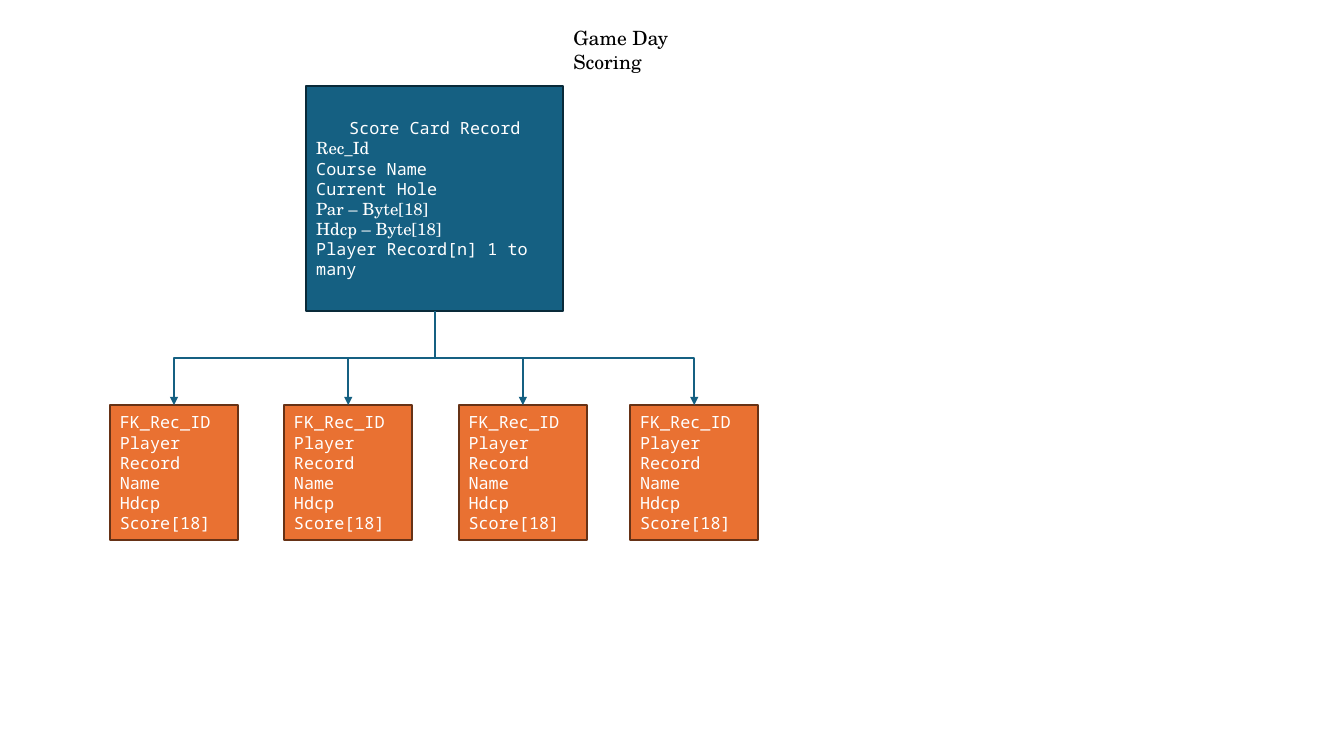
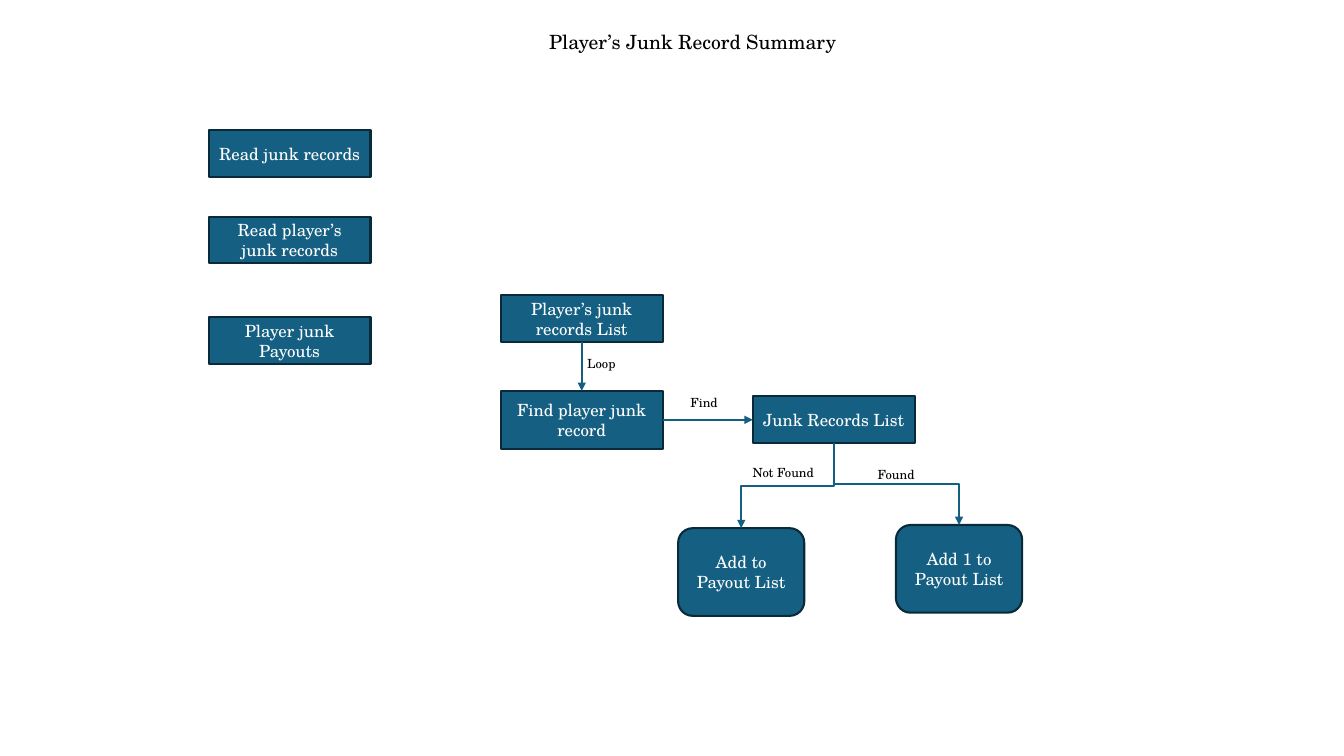
"""Build two diagrams of golf scoring: the game day records and the junk summary."""
from lxml.etree import SubElement
from pptx import Presentation
from pptx.dml.color import RGBColor
from pptx.enum.shapes import MSO_CONNECTOR as Link, MSO_SHAPE as Shape
from pptx.enum.text import MSO_ANCHOR as Anchor, MSO_AUTO_SIZE as AutoSize, PP_ALIGN as Align
from pptx.oxml.ns import qn
from pptx.util import Cm, Pt

BLACK = RGBColor(0x00, 0x00, 0x00)
WHITE = RGBColor(0xFF, 0xFF, 0xFF)
BLUE = RGBColor(0x15, 0x60, 0x82)
NAVY = RGBColor(0x09, 0x2A, 0x39)
ORANGE = RGBColor(0xE9, 0x71, 0x32)
BROWN = RGBColor(0x66, 0x32, 0x16)
SERIF = "TeX Gyre Schola"
MONO = "Noto Sans Mono"
LINE_WIDTH = Pt(1.5)
TOP, LEFT, BOTTOM, RIGHT = range(4)


def add_box(page, area, lines, size=12, kind=None, fill=BLUE, edge=NAVY, wrap=True):
    """Add a shape, or a text box if kind is None, from (text, font, align) lines."""
    place = [Cm(length) for length in area]
    if kind is None:
        box = page.shapes.add_textbox(*place)
        box.text_frame.auto_size = AutoSize.SHAPE_TO_FIT_TEXT
    else:
        box = page.shapes.add_shape(kind, *place)
        box.shadow.inherit = False
        box.fill.solid()
        box.fill.fore_color.rgb = fill
        box.line.color.rgb = edge
        box.line.width = LINE_WIDTH
        box.text_frame.vertical_anchor = Anchor.MIDDLE
    frame = box.text_frame
    frame.word_wrap = wrap
    for index, (text, font, align) in enumerate(lines):
        para = frame.add_paragraph() if index else frame.paragraphs[0]
        para.text = text
        para.alignment = align
        para.font.name = font
        para.font.size = Pt(size)
        para.font.color.rgb = BLACK if kind is None else WHITE
    return box


def add_arrow(page, start, end, sides=(BOTTOM, TOP), bent=False):
    """Join two boxes with an arrow; a bent one runs down, across and down."""
    arrow = page.shapes.add_connector(Link.ELBOW if bent else Link.STRAIGHT, 0, 0, 0, 0)
    arrow.begin_connect(start, sides[0])
    arrow.end_connect(end, sides[1])
    arrow.line.color.rgb = BLUE
    arrow.line.width = LINE_WIDTH
    properties = arrow._element.spPr
    SubElement(properties.find(qn("a:ln")), qn("a:tailEnd"), type="triangle")
    SubElement(properties, qn("a:effectLst"))
    if bent:
        from_x, to_x = (box.left + box.width // 2 for box in (start, end))
        from_y, to_y = start.top + start.height, end.top
        across, down = abs(to_x - from_x), to_y - from_y
        arrow.left = (from_x + to_x - down) // 2
        arrow.top = (from_y + to_y - across) // 2
        arrow.width, arrow.height = down, across
        to_right = to_x > from_x
        turn = properties.find(qn("a:xfrm"))
        turn.set("rot", str((270 if to_right else 90) * 60000))
        turn.set("flipH", "1" if to_right else "0")
        turn.set("flipV", "0")


deck = Presentation()
deck.slide_width, deck.slide_height = Cm(33.87), Cm(19.05)
blank = deck.slide_layouts[6]

page = deck.slides.add_slide(blank)
add_box(page, (14.2, 0.53, 4.5, 0.86), [("Game Day Scoring", SERIF, Align.LEFT)], size=14)
score_card = add_box(page, (7.72, 2.16, 6.48, 5.69), [
    ("Score Card Record", MONO, Align.CENTER),
    ("Rec_Id", SERIF, Align.LEFT),
    ("Course Name", MONO, Align.LEFT),
    ("Current Hole", MONO, Align.LEFT),
    ("Par – Byte[18]", SERIF, Align.LEFT),
    ("Hdcp – Byte[18]", SERIF, Align.LEFT),
    ("Player Record[n] 1 to many", MONO, Align.LEFT),
], kind=Shape.RECTANGLE)
player_fields = ["FK_Rec_ID", "Player Record", "Name", "Hdcp", "Score[18]"]
player_lines = [(field, MONO, Align.LEFT) for field in player_fields]
for left in (2.77, 7.16, 11.56, 15.88):
    player = add_box(page, (left, 10.21, 3.23, 3.4), player_lines,
                     kind=Shape.RECTANGLE, fill=ORANGE, edge=BROWN)
    add_arrow(page, score_card, player, bent=True)

page = deck.slides.add_slide(blank)
add_box(page, (13.59, 0.64, 7.8, 0.86),
        [("Player’s Junk Record Summary", SERIF, Align.LEFT)], size=14, wrap=False)
steps = {}
for text, left, top, height in [
    ("Read junk records", 5.26, 3.28, 1.18),
    ("Read player’s junk records", 5.26, 5.46, 1.18),
    ("Player junk Payouts", 5.26, 8.0, 1.18),
    ("Junk Records List", 18.97, 9.99, 1.18),
    ("Find player junk record", 12.62, 9.85, 1.46),
    ("Player’s junk records List", 12.62, 7.44, 1.18),
]:
    steps[text] = add_box(page, (left, top, 4.08, height),
                          [(text, SERIF, Align.CENTER)], kind=Shape.RECTANGLE)
find_step, junk_list = steps["Find player junk record"], steps["Junk Records List"]
add_arrow(page, find_step, junk_list, sides=(RIGHT, LEFT))
add_arrow(page, steps["Player’s junk records List"], find_step)
for text, left, top in [("Add to Payout List", 17.09, 13.31),
                        ("Add 1 to Payout List", 22.58, 13.23)]:
    payout = add_box(page, (left, top, 3.18, 2.21),
                     [(text, SERIF, Align.CENTER)], kind=Shape.ROUNDED_RECTANGLE)
    add_arrow(page, junk_list, payout, bent=True)
for text, left, top, width in [
    ("Loop", 14.55, 8.84, 1.22),
    ("Find", 17.15, 9.83, 1.22),
    ("Not Found", 18.72, 11.58, 2.11),
    ("Found", 21.87, 11.63, 1.47),
]:
    add_box(page, (left, top, width, 0.64), [(text, SERIF, Align.LEFT)], size=9, wrap=False)

deck.save("out.pptx")
